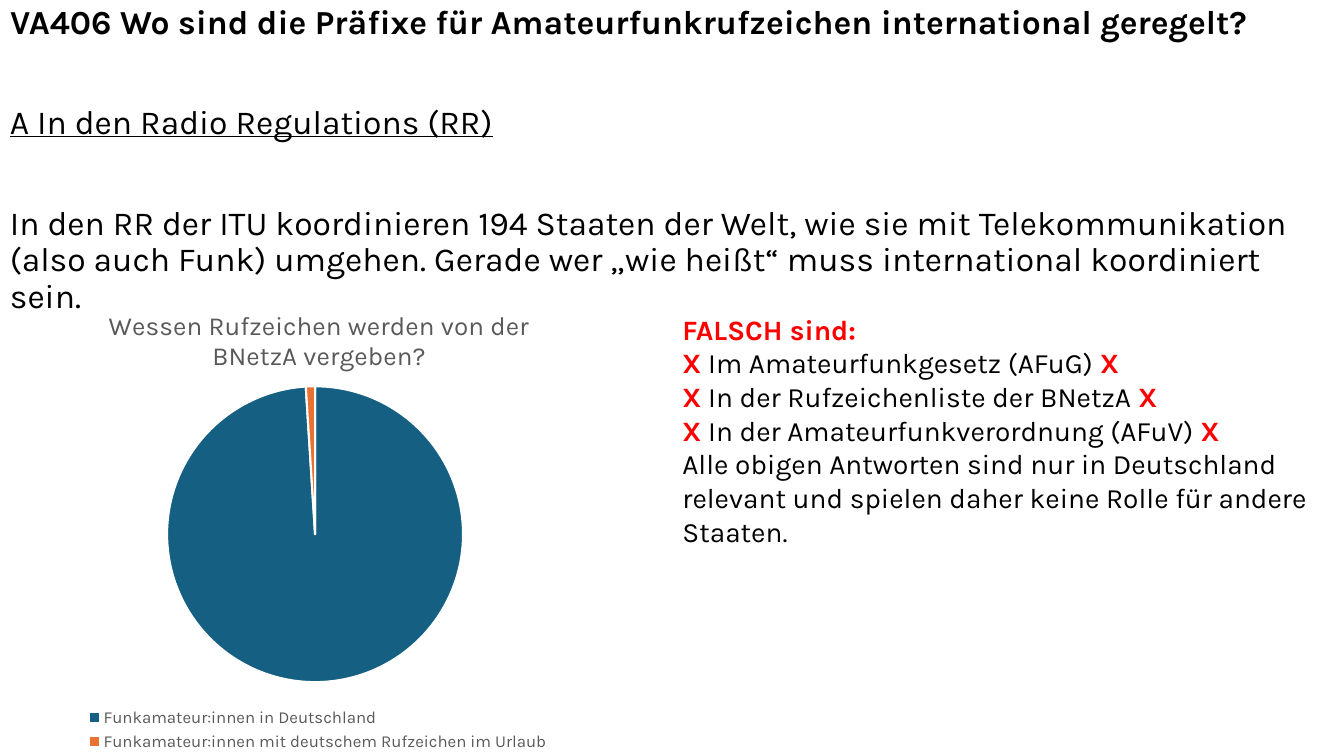
from lxml import etree
from pptx import Presentation
from pptx.chart.data import CategoryChartData
from pptx.dml.color import RGBColor
from pptx.enum.chart import XL_CHART_TYPE, XL_LEGEND_POSITION
from pptx.enum.text import MSO_ANCHOR, PP_ALIGN
from pptx.oxml.ns import qn
from pptx.util import Inches, Pt

PIE = XL_CHART_TYPE.PIE
LEGEND_BOTTOM = XL_LEGEND_POSITION.BOTTOM
TOP = MSO_ANCHOR.TOP
LEFT = PP_ALIGN.LEFT

FONT = "Karla"
COLORS = {
    "text": "000000",
    "wrong": "FF0000",
    "chart_text": "595959",
    "germany": "156082",
    "holiday": "E97132",
    "gap": "FFFFFF",
}
WRONG_ANSWERS = [
    "Im Amateurfunkgesetz (AFuG)",
    "In der Rufzeichenliste der BNetzA",
    "In der Amateurfunkverordnung (AFuV)",
]


def rgb(name):
    return RGBColor.from_string(COLORS[name])


def format_font(font, size, color="text", bold=False, underline=False):
    font.name = FONT
    font.size = Pt(size)
    font.bold = bold
    font.underline = underline
    font.color.rgb = rgb(color)


def add_text(paragraph, text, size=24, line_spacing=None, **font_format):
    paragraph.alignment = LEFT
    if line_spacing:
        paragraph.line_spacing = line_spacing
    run = paragraph.add_run()
    run.text = text
    format_font(run.font, size, **font_format)


def prepare_frame(shape):
    frame = shape.text_frame
    frame.word_wrap = True
    frame.vertical_anchor = TOP
    return frame


def add_text_box(slide, left, top, width, height):
    box = slide.shapes.add_textbox(
        Inches(left), Inches(top), Inches(width), Inches(height))
    return prepare_frame(box)


def add_question(slide, left, top, width):
    """Place the question as title, then the right answer and its reason."""
    title = slide.shapes.title
    title.left, title.top = Inches(left), Inches(top)
    title.width, title.height = Inches(width), Inches(0.5)
    add_text(prepare_frame(title).paragraphs[0],
             "VA406 Wo sind die Präfixe für Amateurfunkrufzeichen international geregelt?",
             line_spacing=0.9, bold=True)
    answer = add_text_box(slide, left, top + 1, width, 0.5)
    add_text(answer.paragraphs[0], "A In den Radio Regulations (RR)",
             line_spacing=0.9, underline=True)
    reason = add_text_box(slide, left, top + 2, width, 1.57)
    add_text(reason.paragraphs[0],
             "In den RR der ITU koordinieren 194 Staaten der Welt, wie sie mit "
             "Telekommunikation (also auch Funk) umgehen. Gerade wer „wie heißt“ "
             "muss international koordiniert sein.", line_spacing=0.9)


def add_wrong_answers(slide, left, top, width, height):
    frame = add_text_box(slide, left, top, width, height)
    mark = {"size": 20, "color": "wrong", "bold": True}
    add_text(frame.paragraphs[0], "FALSCH sind:", **mark)
    for answer in WRONG_ANSWERS:
        paragraph = frame.add_paragraph()
        add_text(paragraph, "X", **mark)
        add_text(paragraph, f" {answer} ", size=20)
        add_text(paragraph, "X", **mark)
    add_text(frame.add_paragraph(),
             "Alle obigen Antworten sind nur in Deutschland relevant und spielen "
             "daher keine Rolle für andere Staaten.", size=20)


def set_layout(element, index, inner=False, **fractions):
    """Fix a chart part at fractions (x, y, w, h) of the chart area."""
    for old in element.findall(qn("c:layout")):
        element.remove(old)
    layout = etree.Element(qn("c:layout"))
    manual = etree.SubElement(layout, qn("c:manualLayout"))
    if inner:
        etree.SubElement(manual, qn("c:layoutTarget")).set("val", "inner")
    for axis in ("x", "y"):
        etree.SubElement(manual, qn(f"c:{axis}Mode")).set("val", "edge")
    for key, value in fractions.items():
        etree.SubElement(manual, qn(f"c:{key}")).set("val", str(value))
    element.insert(index, layout)


def add_call_sign_chart(slide, left, top, width, height):
    data = CategoryChartData()
    data.categories = [
        "Funkamateur:innen in Deutschland",
        "Funkamateur:innen mit deutschem Rufzeichen im Urlaub",
    ]
    data.add_series("Series 1", (99, 1))
    chart = slide.shapes.add_chart(
        PIE, Inches(left), Inches(top), Inches(width), Inches(height), data).chart
    format_font(chart.font, 10)

    chart.has_title = True
    title = chart.chart_title
    title_paragraph = title.text_frame.paragraphs[0]
    add_text(title_paragraph, "Wessen Rufzeichen werden von der BNetzA vergeben?",
             size=18.6, color="chart_text")
    title_paragraph.alignment = PP_ALIGN.CENTER
    title.include_in_layout = False

    chart.has_legend = True
    legend = chart.legend
    legend.position = LEGEND_BOTTOM
    legend.include_in_layout = False
    format_font(legend.font, 12, color="chart_text")

    plot = chart.plots[0]
    plot.vary_by_categories = True
    for index, color in enumerate(("germany", "holiday")):
        point_format = plot.series[0].points[index].format
        point_format.fill.solid()
        point_format.fill.fore_color.rgb = rgb(color)
        point_format.line.color.rgb = rgb("gap")
        point_format.line.width = Pt(1.5)

    plot_area = chart.element.find(".//" + qn("c:plotArea"))
    set_layout(plot_area, 0, inner=True, x=0.265, y=0.223, w=0.47, h=0.622)
    set_layout(chart.element.find(".//" + qn("c:title")), 1, x=0.165, y=0.048)
    set_layout(chart.element.find(".//" + qn("c:legend")), 1,
               x=0.13, y=0.89, w=0.75, h=0.11)


def main():
    presentation = Presentation()
    presentation.slide_width = Inches(13.33)
    presentation.slide_height = Inches(7.5)
    slide = presentation.slides.add_slide(presentation.slide_layouts[5])
    add_question(slide, 0, 0, 13.33)
    add_wrong_answers(slide, 6.67, 3.05, 6.67, 2.46)
    add_call_sign_chart(slide, 0, 2.78, 6.25, 4.72)
    presentation.save("out.pptx")


if __name__ == "__main__":
    main()
